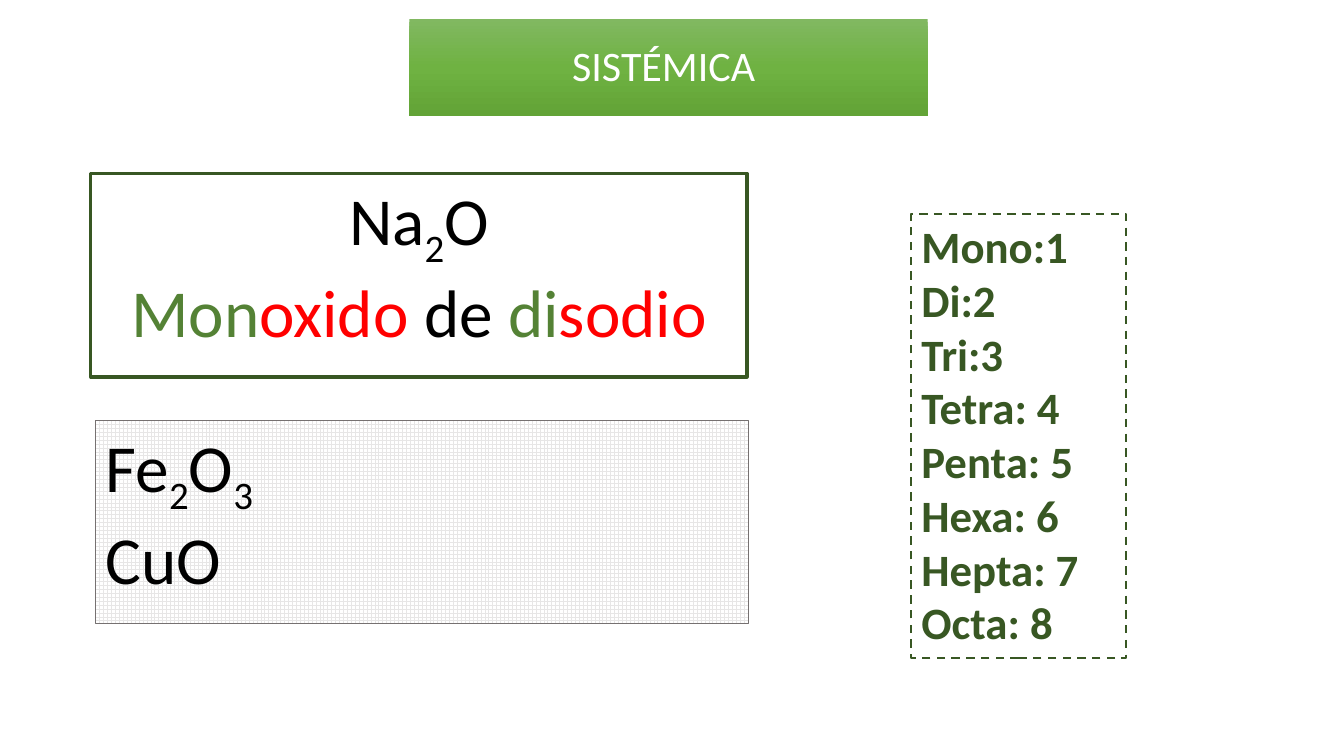
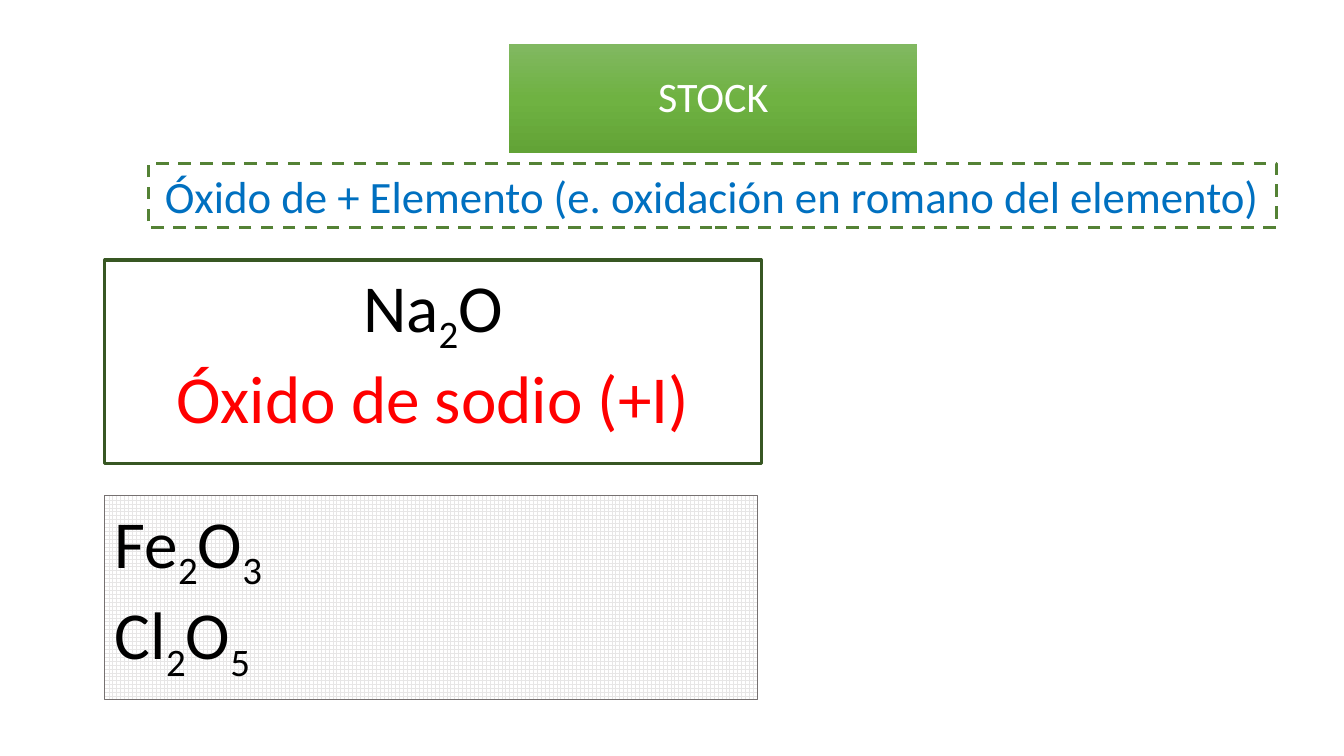
from copy import deepcopy
from dataclasses import dataclass
from itertools import groupby
from typing import NamedTuple, Optional

from pptx import Presentation
from pptx.dml.color import RGBColor
from pptx.enum import dml, text
from pptx.oxml import ns
from pptx.util import Inches, Pt


# Shared look
@dataclass(frozen=True)
class Theme:
    font: str = "Calibri"
    title_size: int = 30
    list_size: int = 32
    formula_size: int = 48
    white: str = "FFFFFF"
    black: str = "000000"
    red: str = "FF0000"
    blue: str = "0070C0"
    green: str = "548235"
    dark_green: str = "385723"
    grey: str = "767171"
    pale_grey: str = "E7E6E6"
    banner_stops: tuple = ((0, "81B861"), (0.5, "6FB242"), (1, "62A336"))


THEME = Theme()
TITLE_ONLY_LAYOUT = 5


class Box(NamedTuple):
    left: float
    top: float
    width: float
    height: float


class Piece(NamedTuple):
    text: str
    color: str = THEME.black
    subscript: bool = False


@dataclass(frozen=True)
class Frame:
    color: str
    weight: float
    dashed: bool = False
    grid: bool = False


EXAMPLE_FRAME = Frame(THEME.dark_green, 2.25)
EXERCISE_FRAME = Frame(THEME.grey, 0.75, grid=True)
PREFIX_FRAME = Frame(THEME.dark_green, 1.5, dashed=True)
RULE_FRAME = Frame(THEME.green, 2.25, dashed=True)


def rgb(color: str) -> RGBColor:
    return RGBColor.from_string(color)


def formula(symbols: str) -> list[Piece]:
    """Split a chemical formula so that its digits become subscripts."""
    return [Piece("".join(group), subscript=is_digit)
            for is_digit, group in groupby(symbols, str.isdigit)]


def write(shape, lines: list[list[Piece]], *, size: int, bold: bool = False,
          centered: bool = False, spacing: Optional[float] = None) -> None:
    text_frame = shape.text_frame
    text_frame.word_wrap = True
    for index, pieces in enumerate(lines):
        paragraph = text_frame.add_paragraph() if index else text_frame.paragraphs[0]
        paragraph.alignment = text.PP_ALIGN.CENTER if centered else text.PP_ALIGN.LEFT
        paragraph.line_spacing = spacing
        for piece in pieces:
            run = paragraph.add_run()
            run.text = piece.text
            run.font.name = THEME.font
            run.font.size = Pt(size)
            run.font.bold = bold
            run.font.color.rgb = rgb(piece.color)
            if piece.subscript:
                run.font._element.set("baseline", "-25000")


def add_panel(slide, box: Box, frame: Frame, lines: list[list[Piece]], *,
              size: int, bold: bool = False, centered: bool = False) -> None:
    shape = slide.shapes.add_textbox(*map(Inches, box))
    shape.line.color.rgb = rgb(frame.color)
    shape.line.width = Pt(frame.weight)
    if frame.dashed:
        shape.line.dash_style = dml.MSO_LINE.DASH
    if frame.grid:
        shape.fill.patterned()
        shape.fill.pattern = dml.MSO_PATTERN.LARGE_GRID
        shape.fill.fore_color.rgb = rgb(THEME.pale_grey)
        shape.fill.back_color.rgb = rgb(THEME.white)
    write(shape, lines, size=size, bold=bold, centered=centered)
    shape.text_frame.auto_size = text.MSO_AUTO_SIZE.SHAPE_TO_FIT_TEXT


def add_titled_slide(presentation, title: str, box: Box):
    """Add a slide whose title is a green gradient banner."""
    slide = presentation.slides.add_slide(presentation.slide_layouts[TITLE_ONLY_LAYOUT])
    banner = slide.shapes.title
    banner.left, banner.top, banner.width, banner.height = map(Inches, box)

    # A new gradient has two stops; the banner needs a middle one
    banner.fill.gradient()
    banner.fill.gradient_angle = 270
    stop_list = banner._element.spPr.find(".//" + ns.qn("a:gsLst"))
    stop_list.insert(1, deepcopy(stop_list[0]))
    for stop, (position, color) in zip(banner.fill.gradient_stops, THEME.banner_stops):
        stop.position = position
        stop.color.rgb = rgb(color)

    text_frame = banner.text_frame
    text_frame.auto_size = text.MSO_AUTO_SIZE.NONE
    text_frame.vertical_anchor = text.MSO_ANCHOR.MIDDLE
    for side in ("left", "top", "right", "bottom"):
        setattr(text_frame, f"margin_{side}", Inches(0.02))
    write(banner, [[Piece(title, THEME.white)]], size=THEME.title_size,
          centered=True, spacing=0.9)
    return slide


def add_example(slide, left: float, top: float, name: list[Piece]) -> None:
    add_panel(slide, Box(left, top, 6.51, 2.02), EXAMPLE_FRAME,
              [formula("Na2O"), name], size=THEME.formula_size, centered=True)


def add_exercise(slide, left: float, top: float, formulas: list[str]) -> None:
    add_panel(slide, Box(left, top, 6.47, 2.02), EXERCISE_FRAME,
              [formula(symbols) for symbols in formulas], size=THEME.formula_size)


def build_systematic_slide(presentation) -> None:
    slide = add_titled_slide(presentation, "SISTÉMICA ", Box(4.06, 0.19, 5.14, 0.96))
    prefixes = ["Mono:1", "Di:2", "Tri:3", "Tetra: 4",
                "Penta: 5", "Hexa: 6", "Hepta: 7", "Octa: 8"]
    add_panel(slide, Box(9.04, 2.12, 2.13, 4.41), PREFIX_FRAME,
              [[Piece(prefix, THEME.dark_green)] for prefix in prefixes],
              size=THEME.list_size, bold=True)
    add_example(slide, 0.9, 1.72, [
        Piece("Mon", THEME.green), Piece("oxido", THEME.red), Piece(" de "),
        Piece("di", THEME.green), Piece("sodio", THEME.red)])
    add_exercise(slide, 0.95, 4.17, ["Fe2O3", "CuO"])


def build_stock_slide(presentation) -> None:
    slide = add_titled_slide(presentation, "STOCK", Box(5.05, 0.44, 4.05, 1.08))
    rule = "Óxido de + Elemento (e. oxidación en romano del elemento)"
    add_panel(slide, Box(1.47, 1.62, 11.19, 0.64), RULE_FRAME,
              [[Piece(rule, THEME.blue)]], size=THEME.list_size, centered=True)
    add_example(slide, 1.04, 2.58, [Piece("Óxido de sodio (+I)", THEME.red)])
    add_exercise(slide, 1.04, 4.92, ["Fe2O3", "Cl2O5"])


def main() -> None:
    presentation = Presentation()
    presentation.slide_width = Inches(13.33)
    presentation.slide_height = Inches(7.5)
    build_systematic_slide(presentation)
    build_stock_slide(presentation)
    presentation.save("out.pptx")


if __name__ == "__main__":
    main()
